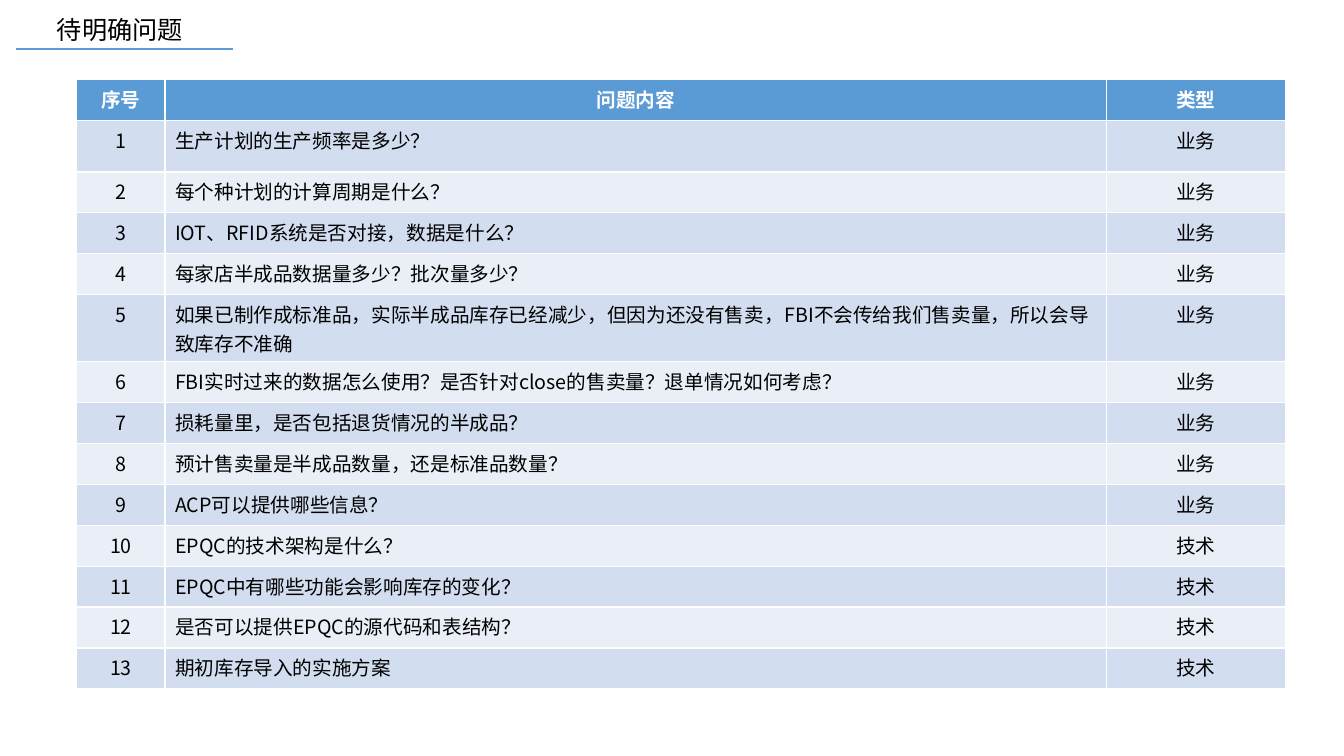
from lxml.etree import SubElement
from pptx import Presentation
from pptx.dml.color import RGBColor
from pptx.enum.shapes import MSO_CONNECTOR
from pptx.enum.text import MSO_ANCHOR, PP_ALIGN
from pptx.oxml.ns import qn
from pptx.util import Pt

FONT = "Noto Sans CJK SC"
COLORS = {
    "accent": "5B9BD5",
    "odd": "D2DEEF",
    "even": "EAEFF7",
    "text": "000000",
    "header_text": "FFFFFF",
}
HEADERS = ("序号", "问题内容", "类型")
BUSINESS_QUESTIONS = [
    "生产计划的生产频率是多少？",
    "每个种计划的计算周期是什么？",
    "IOT、RFID系统是否对接，数据是什么？",
    "每家店半成品数据量多少？批次量多少？",
    "如果已制作成标准品，实际半成品库存已经减少，但因为还没有售卖，FBI不会传给我们售卖量，所以会导致库存不准确",
    "FBI实时过来的数据怎么使用？是否针对close的售卖量？退单情况如何考虑？",
    "损耗量里，是否包括退货情况的半成品？",
    "预计售卖量是半成品数量，还是标准品数量？",
    "ACP可以提供哪些信息？",
]
TECHNICAL_QUESTIONS = [
    "EPQC的技术架构是什么？",
    "EPQC中有哪些功能会影响库存的变化？",
    "是否可以提供EPQC的源代码和表结构？",
    "期初库存导入的实施方案",
]
COLUMN_SHARES = (0.073, 0.779, 0.148)
ROW_HEIGHT = 29.2
FIRST_QUESTION_HEIGHT = 36.6


def color(name):
    return RGBColor.from_string(COLORS[name])


def write(para, text, size, color_name, align, bold=False):
    para.text = text
    para.alignment = align
    font = para.font
    font.name = FONT
    font.size = Pt(size)
    font.bold = bold
    font.color.rgb = color(color_name)
    properties = para._p.pPr.find(qn("a:defRPr"))
    SubElement(properties, qn("a:ea")).set("typeface", FONT)


def add_heading(page, left, top, width, height):
    title = page.shapes.title
    title.left, title.top = Pt(left), Pt(top)
    title.width, title.height = Pt(width), Pt(height)
    frame = title.text_frame
    frame.word_wrap = True
    frame.vertical_anchor = MSO_ANCHOR.TOP
    write(frame.paragraphs[0], "待明确问题", 18, "text", PP_ALIGN.CENTER)

    bottom = Pt(top + height)
    underline = page.shapes.add_connector(
        MSO_CONNECTOR.STRAIGHT, Pt(left), bottom, Pt(left + width + 6.5), bottom
    )
    underline.line.color.rgb = color("accent")
    underline.line.width = Pt(1.5)
    SubElement(underline._element.spPr, qn("a:effectLst"))


def add_question_table(page, left, top, width):
    questions = [(text, "业务") for text in BUSINESS_QUESTIONS]
    questions += [(text, "技术") for text in TECHNICAL_QUESTIONS]
    rows = [HEADERS]
    rows += [(str(n), text, kind) for n, (text, kind) in enumerate(questions, 1)]
    table = page.shapes.add_table(
        len(rows), len(HEADERS), Pt(left), Pt(top), Pt(width), Pt(ROW_HEIGHT * len(rows))
    ).table
    for column, share in zip(table.columns, COLUMN_SHARES):
        column.width = Pt(round(width * share, 2))
    for r, values in enumerate(rows):
        table.rows[r].height = Pt(FIRST_QUESTION_HEIGHT if r == 1 else ROW_HEIGHT)
        header = r == 0
        fill = "accent" if header else "odd" if r % 2 else "even"
        for c, text in enumerate(values):
            cell = table.cell(r, c)
            cell.fill.solid()
            cell.fill.fore_color.rgb = color(fill)
            align = PP_ALIGN.LEFT if c == 1 and not header else PP_ALIGN.CENTER
            text_color = "header_text" if header else "text"
            write(cell.text_frame.paragraphs[0], text, 14, text_color, align, header)


def main():
    deck = Presentation()
    deck.slide_width, deck.slide_height = Pt(960), Pt(540)
    page = deck.slides.add_slide(deck.slide_layouts[5])
    add_heading(page, 11.5, 6.5, 148.3, 28.8)
    add_question_table(page, 54.9, 57, 863.3)
    deck.save("out.pptx")


if __name__ == "__main__":
    main()
